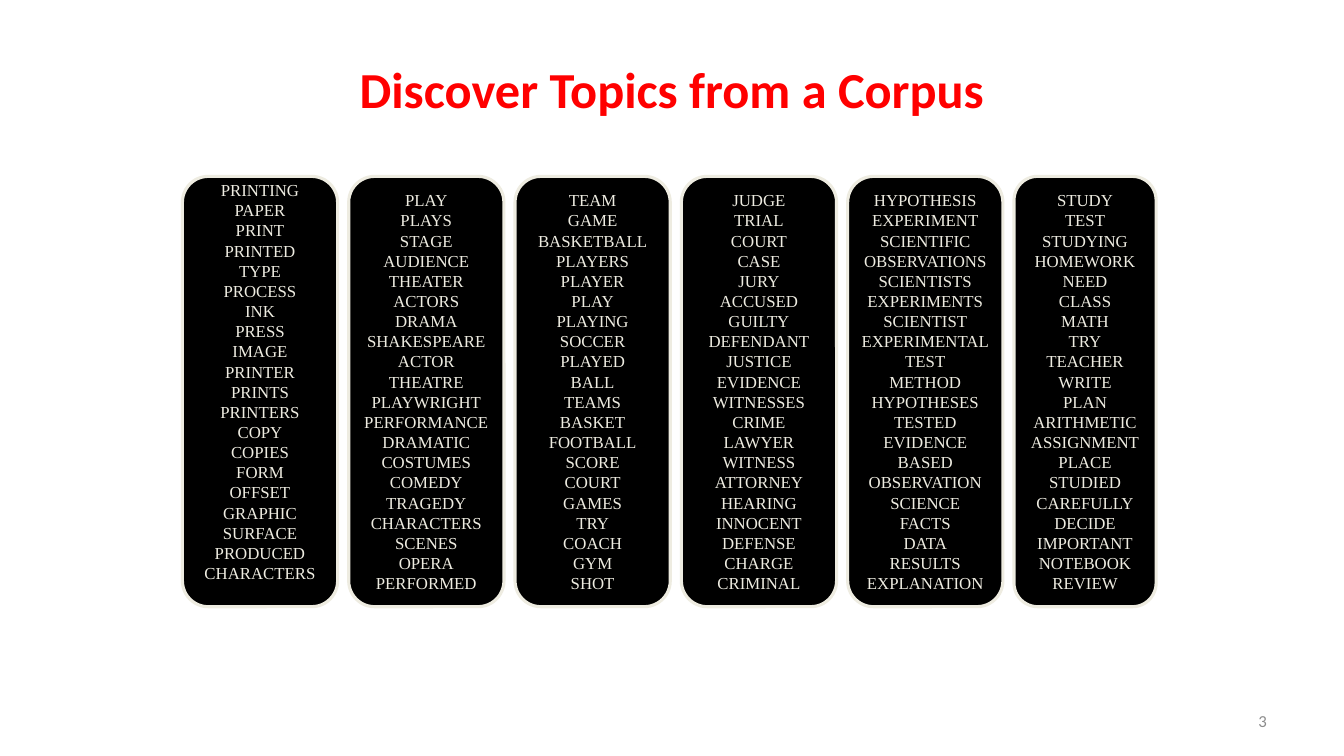
from pptx import Presentation
from pptx.dml.color import RGBColor
from pptx.enum.shapes import MSO_SHAPE
from pptx.enum.text import MSO_ANCHOR, PP_ALIGN
from pptx.util import Pt

ROUNDED = MSO_SHAPE.ROUNDED_RECTANGLE
MIDDLE = MSO_ANCHOR.MIDDLE
CENTER, RIGHT = PP_ALIGN.CENTER, PP_ALIGN.RIGHT

COLORS = {"title": "FF0000", "card": "000000", "cream": "EEECE1", "number": "8C8C8C"}

PAGE_WIDTH, PAGE_HEIGHT = 960, 540
CARD_LEFT, CARD_TOP, CARD_HEIGHT = 130.3, 126, 307.4
CARD_WIDTH, LAST_CARD_WIDTH, CARD_STEP = 110.9, 101.5, 118.8
CARD_INSET = 10.8
FIRST_CARD_LIFT = 7.2

TOPICS = [
    "PRINTING PAPER PRINT PRINTED TYPE PROCESS INK PRESS IMAGE PRINTER PRINTS "
    "PRINTERS COPY COPIES FORM OFFSET GRAPHIC SURFACE PRODUCED CHARACTERS",
    "PLAY PLAYS STAGE AUDIENCE THEATER ACTORS DRAMA SHAKESPEARE ACTOR THEATRE "
    "PLAYWRIGHT PERFORMANCE DRAMATIC COSTUMES COMEDY TRAGEDY CHARACTERS SCENES "
    "OPERA PERFORMED",
    "TEAM GAME BASKETBALL PLAYERS PLAYER PLAY PLAYING SOCCER PLAYED BALL TEAMS "
    "BASKET FOOTBALL SCORE COURT GAMES TRY COACH GYM SHOT",
    "JUDGE TRIAL COURT CASE JURY ACCUSED GUILTY DEFENDANT JUSTICE EVIDENCE "
    "WITNESSES CRIME LAWYER WITNESS ATTORNEY HEARING INNOCENT DEFENSE CHARGE "
    "CRIMINAL",
    "HYPOTHESIS EXPERIMENT SCIENTIFIC OBSERVATIONS SCIENTISTS EXPERIMENTS "
    "SCIENTIST EXPERIMENTAL TEST METHOD HYPOTHESES TESTED EVIDENCE BASED "
    "OBSERVATION SCIENCE FACTS DATA RESULTS EXPLANATION",
    "STUDY TEST STUDYING HOMEWORK NEED CLASS MATH TRY TEACHER WRITE PLAN "
    "ARITHMETIC ASSIGNMENT PLACE STUDIED CAREFULLY DECIDE IMPORTANT NOTEBOOK "
    "REVIEW",
]


class TopicSlide:
    heading_font = "Calibri"
    word_font = "Times New Roman"

    def __init__(self, page):
        self.page = page

    def color(self, name):
        return RGBColor.from_string(COLORS[name])

    def set_text(self, shape, text, font, size, color, align, bold=False):
        frame = shape.text_frame
        frame.text = text
        frame.vertical_anchor = MIDDLE
        for para in frame.paragraphs:
            para.alignment = align
            for span in para.runs:
                span.font.name = font
                span.font.size = Pt(size)
                span.font.bold = bold
                span.font.color.rgb = self.color(color)

    def title(self, text):
        box = self.page.shapes.title
        box.left, box.top = Pt(0), Pt(18)
        box.width, box.height = Pt(PAGE_WIDTH), Pt(90)
        self.set_text(box, text, self.heading_font, 36, "title", CENTER, bold=True)

    def number(self, text):
        box = self.page.shapes.add_textbox(Pt(688), Pt(500.5), Pt(224), Pt(28.8))
        box.text_frame.word_wrap = True
        self.set_text(box, text, self.heading_font, 12, "number", RIGHT)

    def card(self, left, width, words, lift=0):
        """Draw one topic; lift raises its words above the card's centre."""
        card = self.page.shapes.add_shape(
            ROUNDED, Pt(left), Pt(CARD_TOP), Pt(width), Pt(CARD_HEIGHT))
        card.shadow.inherit = False
        card.fill.solid()
        card.fill.fore_color.rgb = self.color("card")
        card.line.color.rgb = self.color("cream")
        card.line.width = Pt(2.25)
        self.set_text(card, "\n".join(words), self.word_font, 12, "cream", CENTER)
        frame = card.text_frame
        frame.word_wrap = False
        frame.margin_left = frame.margin_right = Pt(7.2)
        frame.margin_top = Pt(CARD_INSET - lift)
        frame.margin_bottom = Pt(CARD_INSET + lift)


def main():
    deck = Presentation()
    deck.slide_width, deck.slide_height = Pt(PAGE_WIDTH), Pt(PAGE_HEIGHT)
    slide = TopicSlide(deck.slides.add_slide(deck.slide_layouts[5]))
    slide.title("Discover Topics from a Corpus")
    last = len(TOPICS) - 1
    for index, topic in enumerate(TOPICS):
        slide.card(
            CARD_LEFT + index * CARD_STEP,
            LAST_CARD_WIDTH if index == last else CARD_WIDTH,
            topic.split(),
            FIRST_CARD_LIFT if index == 0 else 0)
    slide.number("3")
    deck.save("out.pptx")


if __name__ == "__main__":
    main()
